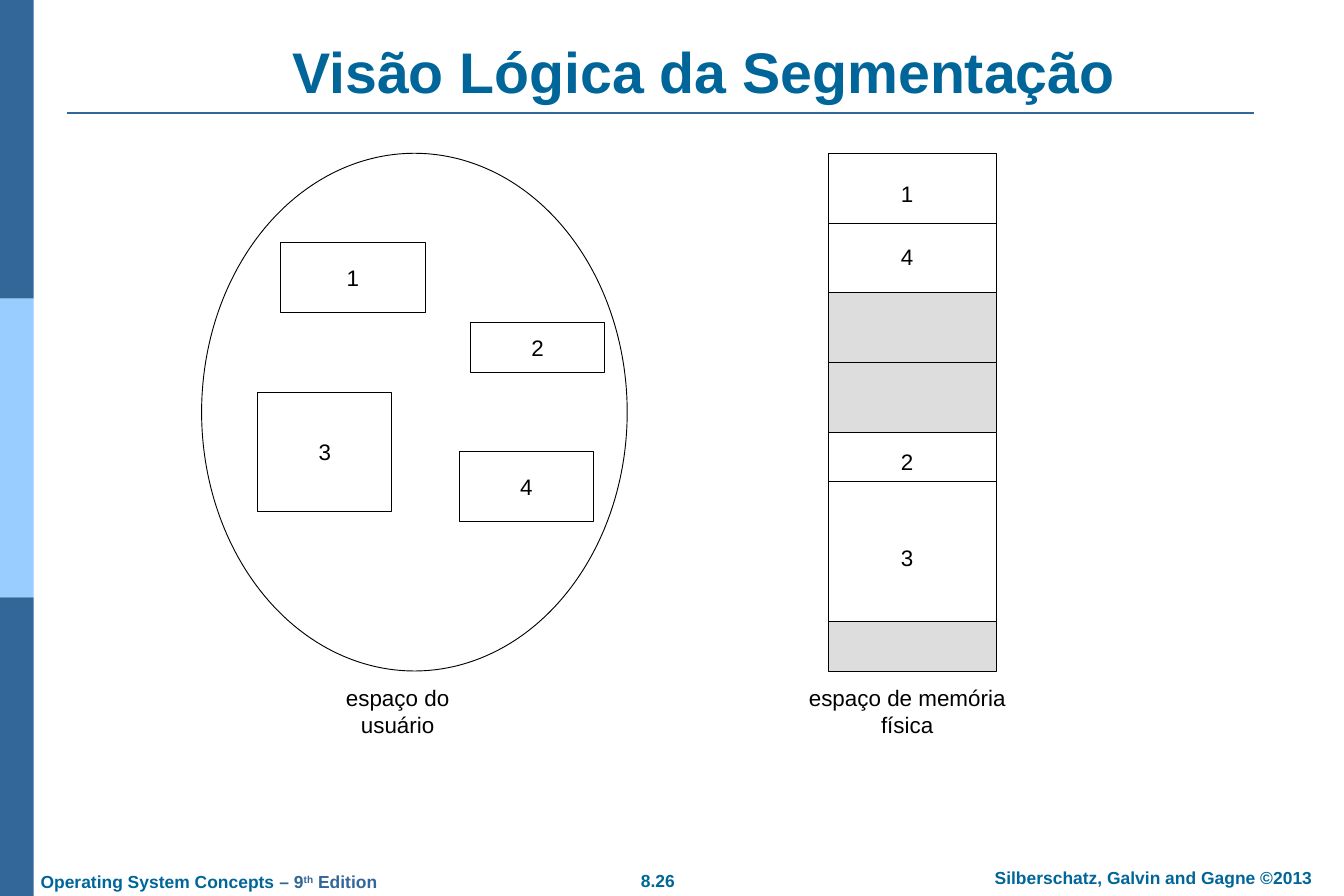
from lxml import etree
from pptx import Presentation
from pptx.dml.color import RGBColor
from pptx.enum.shapes import MSO_CONNECTOR, MSO_SHAPE
from pptx.enum.text import MSO_ANCHOR, PP_ALIGN
from pptx.oxml.ns import qn
from pptx.util import Inches, Pt

RECT, OVAL = MSO_SHAPE.RECTANGLE, MSO_SHAPE.OVAL
STRAIGHT = MSO_CONNECTOR.STRAIGHT
LEFT, CENTER = PP_ALIGN.LEFT, PP_ALIGN.CENTER
TOP, MIDDLE, BOTTOM = MSO_ANCHOR.TOP, MSO_ANCHOR.MIDDLE, MSO_ANCHOR.BOTTOM

WIDTH, HEIGHT = 15, 10
COLS, ROWS = 120, 45
START = 7.7
BLACK, WHITE, GRAY = "000000", "FFFFFF", "DDDDDD"
NAVY, SKY, TEAL = "336699", "99CCFF", "006699"


def color(code):
    return RGBColor.from_string(code)


def across(col):
    return Inches(WIDTH * col / COLS)


def down(row):
    return Inches(HEIGHT * row / ROWS)


def place(col, row, wide, high):
    return across(col), down(row), across(wide), down(high)


def write(shape, *lines, size=18, tint=BLACK, bold=False, align=CENTER,
          anchor=MIDDLE, wrap=False, pad=(0.14, 0.07)):
    frame = shape.text_frame
    frame.word_wrap = wrap
    frame.vertical_anchor = anchor
    frame.margin_left = frame.margin_right = Inches(pad[0])
    frame.margin_top = frame.margin_bottom = Inches(pad[1])
    para = frame.paragraphs[0]
    para.alignment = align
    for index, line in enumerate(lines):
        if index:
            para.add_line_break()
        parts = [(line, tint, 0)] if isinstance(line, str) else line
        for words, shade, raised in parts:
            run = para.add_run()
            run.text = words
            run.font.name = "Arial"
            run.font.size = Pt(size)
            run.font.bold = bold
            run.font.color.rgb = color(shade)
            if raised:
                run.font._element.set("baseline", str(raised * 1000))


def label(shapes, spot, *lines, **style):
    box = shapes.add_textbox(*place(*spot))
    write(box, *lines, **style)


def block(shapes, spot, fill=WHITE, edge=BLACK, kind=RECT):
    shape = shapes.add_shape(kind, *place(*spot))
    shape.shadow.inherit = False
    shape.fill.solid()
    shape.fill.fore_color.rgb = color(fill)
    if edge:
        shape.line.color.rgb = color(edge)
        shape.line.width = Pt(0.75)
    else:
        shape.line.fill.background()
    return shape


def rule(shapes, left, right, row, tint=BLACK, width=0.75):
    line = shapes.add_connector(
        STRAIGHT, across(left), down(row), across(right), down(row))
    line.line.color.rgb = color(tint)
    line.line.width = Pt(width)
    etree.SubElement(line._element.spPr, qn("a:effectLst"))
    return line


def frame_page(slide):
    shapes = slide.shapes
    third = ROWS / 3
    for index, fill in enumerate((NAVY, SKY, NAVY)):
        block(shapes, (0, index * third, 3, third), fill, None)
    rule(shapes, 6, 112, 5.66, NAVY, 1.5)
    title = shapes.title
    title.left, title.top, title.width, title.height = place(
        11.6, 1.8, 102.4, 3.78)
    write(title, "Visão Lógica da Segmentação", size=46, tint=TEAL,
          bold=True, anchor=BOTTOM, wrap=True)
    style = dict(size=14, tint=TEAL, bold=True, anchor=TOP)
    label(shapes, (56, 43.38, 5.5, 1.7), "8.26", **style)
    label(shapes, (85.2, 43.25, 35.6, 1.7),
          "Silberschatz, Galvin and Gagne ©2013", wrap=True, **style)
    book = [("Operating System Concepts", TEAL, 0), (" – 9", NAVY, 0),
            ("th", NAVY, 30), (" Edition", NAVY, 0)]
    label(shapes, (2.5, 43.43, 32.6, 1.7), book, align=LEFT, **style)


def draw_user(shapes):
    block(shapes, (18, START, 38, 26), kind=OVAL)
    parts = (("1", 25, 4.5, 13, 3.5), ("3", 23, 12, 12, 6),
             ("2", 42, 8.5, 12, 2.5), ("4", 41, 15, 12, 3.5))
    for name, col, row, wide, high in parts:
        write(block(shapes, (col, START + row, wide, high)), name)
    label(shapes, (29.4, 34.7, 12.2, 2), "espaço do", "usuário")


def draw_memory(slide):
    shapes = slide.shapes.add_group_shape().shapes
    left, wide = 74, 15
    bands = ((0, 7, WHITE, 3.5), (7, 7, GRAY, 3.5),
             (14, 9.5, WHITE, 2.5), (23.5, 2.5, GRAY, None))
    for row, high, fill, cut in bands:
        band = block(shapes, (left, START + row, wide, high), fill)
        if cut:
            line = rule(shapes, left, left + wide, START + row + cut)
            if cut == high / 2:
                line.begin_connect(band, 1)
                line.end_connect(band, 3)
    for name, row in (("1", 1.1), ("4", 4.3), ("2", 14.6), ("3", 19.4)):
        label(shapes, (79.65, START + row, 2.7, 1.8), name, pad=(0.1, 0.05))
    label(slide.shapes, (69.3, 34.7, 23.4, 2), "espaço de memória", "física")


def main():
    deck = Presentation()
    deck.slide_width, deck.slide_height = Inches(WIDTH), Inches(HEIGHT)
    slide = deck.slides.add_slide(deck.slide_layouts[5])
    frame_page(slide)
    draw_user(slide.shapes)
    draw_memory(slide)
    deck.save("out.pptx")


if __name__ == "__main__":
    main()
